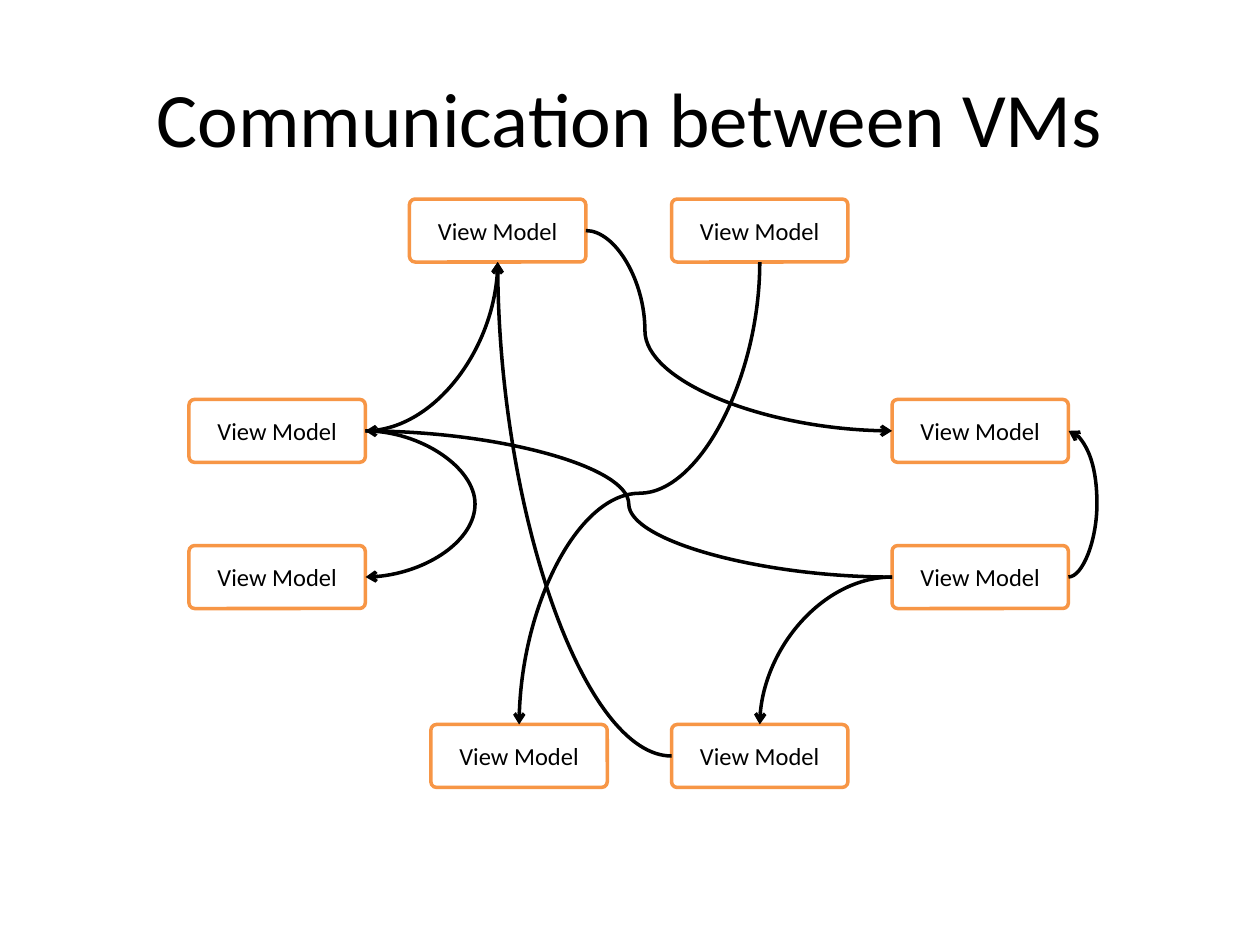
import pptx
import pptx.util
import pptx.dml.color
import pptx.enum.shapes
import pptx.enum.text
import pptx.oxml.ns
import lxml.etree

Inches, Pt = pptx.util.Inches, pptx.util.Pt
qn = pptx.oxml.ns.qn

TITLE = "Communication between VMs"
LABEL = "View Model"
THEME = {
    "font": "Calibri", "title": 44, "label": 14, "stroke": 2,
    "ink": "000000", "paper": "FFFFFF", "edge": "F79646",
}
WIDE, HIGH = 1.4, 0.5
BOXES = {
    "upper left": (1.5, 3.17),
    "lower left": (1.5, 4.33),
    "bottom left": (3.42, 5.75),
    "bottom right": (5.33, 5.75),
    "lower right": (7.08, 4.33),
    "upper right": (7.08, 3.17),
    "top left": (3.25, 1.58),
    "top right": (5.33, 1.58),
}
LINKS = [
    ("upper left", "right", "top left", "bottom", None),
    ("upper left", "right", "lower left", "right", 0.96),
    ("top right", "bottom", "bottom left", "top", None),
    ("top left", "right", "upper right", "left", 0.47),
    ("lower right", "left", "bottom right", "top", None),
    ("bottom right", "left", "top left", "bottom", None),
    ("lower right", "right", "upper right", "right", 0.25),
    ("lower right", "left", "upper left", "right", None),
]
SIDES = {"top": (0, 0.5, 0), "left": (1, 0, 0.5),
         "bottom": (2, 0.5, 1), "right": (3, 1, 0.5)}
UPRIGHT = ("top", "bottom")
SLIVER = 1588


def color(name):
    return pptx.dml.color.RGBColor.from_string(THEME[name])


def write(frame, text, size):
    frame.text = text
    frame.word_wrap = True
    frame.vertical_anchor = pptx.enum.text.MSO_ANCHOR.MIDDLE
    para = frame.paragraphs[0]
    para.alignment = pptx.enum.text.PP_ALIGN.CENTER
    para.font.name = THEME["font"]
    para.font.size = Pt(THEME[size])
    para.font.color.rgb = color("ink")


def stroke(line, name):
    line.color.rgb = color(name)
    line.width = Pt(THEME["stroke"])


def add_box(slide, left, top):
    box = slide.shapes.add_shape(
        pptx.enum.shapes.MSO_SHAPE.ROUNDED_RECTANGLE,
        Inches(left), Inches(top), Inches(WIDE), Inches(HIGH))
    box.adjustments[0] = 0.09
    box.shadow.inherit = False
    box.fill.solid()
    box.fill.fore_color.rgb = color("paper")
    stroke(box.line, "edge")
    write(box.text_frame, LABEL, "label")
    return box


def point(box, side):
    _, across, down = SIDES[side]
    return (box.left + int(box.width * across),
            box.top + int(box.height * down))


def add_link(slide, first, out, last, into, bend):
    link = slide.shapes.add_connector(
        pptx.enum.shapes.MSO_CONNECTOR.CURVE, 0, 0, 0, 0)
    link.begin_connect(first, SIDES[out][0])
    link.end_connect(last, SIDES[into][0])

    (x1, y1), (x2, y2) = point(first, out), point(last, into)
    run, rise = x2 - x1, y2 - y1
    turn = 90 if out in UPRIGHT else 180 if run < 0 else 0
    if turn == 90:
        run, rise = rise, -run
    elif turn == 180:
        run, rise = -run, -rise
    width, height = max(run, SLIVER), abs(rise)
    flat = (height, width) if turn == 90 else (width, height)
    link.left = min(x1, x2) + (flat[0] - width) // 2
    link.top = min(y1, y2) + (flat[1] - height) // 2
    link.width, link.height = width, height

    props = link.element.spPr
    frame = props.find(qn("a:xfrm"))
    frame.set("rot", str(turn * 60000))
    frame.set("flipH", "0")
    frame.set("flipV", "1" if rise < 0 else "0")
    shape = props.find(qn("a:prstGeom"))
    if (out in UPRIGHT) != (into in UPRIGHT):
        shape.set("prst", "curvedConnector2")
    else:
        ratio = Inches(bend) / width if bend else 0.5
        lxml.etree.SubElement(
            shape.find(qn("a:avLst")), qn("a:gd"),
            name="adj1", fmla=f"val {round(ratio * 100000)}")

    stroke(link.line, "ink")
    lxml.etree.SubElement(
        props.find(qn("a:ln")), qn("a:tailEnd"), type="arrow")
    lxml.etree.SubElement(props, qn("a:effectLst"))


def main():
    deck = pptx.Presentation()
    deck.slide_width, deck.slide_height = Inches(10), Inches(7.5)
    slide = deck.slides.add_slide(deck.slide_layouts[5])
    title = slide.shapes.title
    title.left, title.top = Inches(0.5), Inches(0.3)
    title.width, title.height = Inches(9), Inches(1.25)
    write(title.text_frame, TITLE, "title")
    boxes = {name: add_box(slide, *spot) for name, spot in BOXES.items()}
    for first, out, last, into, bend in LINKS:
        add_link(slide, boxes[first], out, boxes[last], into, bend)
    deck.save("out.pptx")


if __name__ == "__main__":
    main()
